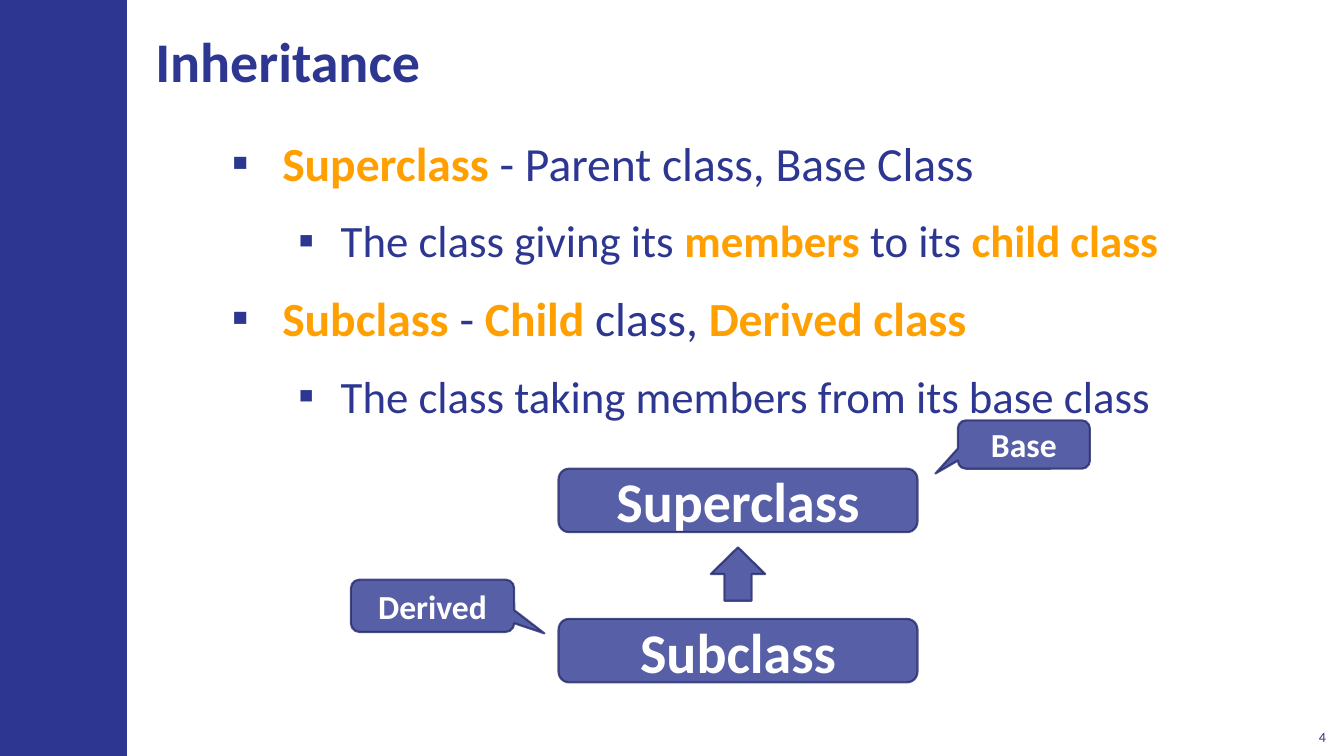
"""Build the Inheritance slide: class definitions above a superclass diagram."""
import pptx
import pptx.dml.color
import pptx.enum.shapes
import pptx.enum.text
import pptx.oxml.ns
import pptx.util
from lxml import etree

Inches = pptx.util.Inches
Pt = pptx.util.Pt
RGBColor = pptx.dml.color.RGBColor
MSO_SHAPE = pptx.enum.shapes.MSO_SHAPE
PP_ALIGN = pptx.enum.text.PP_ALIGN
MSO_ANCHOR = pptx.enum.text.MSO_ANCHOR
qn = pptx.oxml.ns.qn

NAVY = RGBColor(0x2D, 0x37, 0x91)
EDGE = RGBColor(0x22, 0x29, 0x6D)
ORANGE = RGBColor(0xFF, 0xA0, 0x00)
WHITE = RGBColor(0xFF, 0xFF, 0xFF)
FONT = "Calibri"

TITLE = "Inheritance"
PAGE = "4"
# (level, [(text, highlighted)])
BULLETS = [
    (0, [("Superclass", True), (" - Parent class, Base Class", False)]),
    (1, [("The class giving its ", False), ("members", True),
         (" to its ", False), ("child class", True)]),
    (0, [("Subclass ", True), ("- ", False), ("Child", True),
         (" class, ", False), ("Derived class", True)]),
    (1, [("The class taking members from its base class", False)]),
]
LEVELS = [{"size": 34, "left": 0.5, "hang": 0.5},
          {"size": 32, "left": 1.08, "hang": 0.42}]

BOX_LEFT, BOX_W, BOX_H = 5.54, 3.56, 0.63
BOXES = [("Superclass", 4.65), ("Subclass", 6.14)]
CALLOUTS = [("Derived", (3.48, 5.75, 1.62, 0.52), (0.685, 0.526)),
            ("Base", (9.5, 4.17, 1.31, 0.48), (-0.67, 0.6))]
ARROW_W, ARROW_H, ARROW_TOP = 0.54, 0.53, 5.43


def add_run(p, text, size, color, bold=False):
    r = p.add_run()
    r.text = text
    r.font.name = FONT
    r.font.size = Pt(size)
    r.font.bold = bold
    r.font.color.rgb = color


def add_text(slide, at, anchor, inset=(0.12, 0.04)):
    tf = slide.shapes.add_textbox(*map(Inches, at)).text_frame
    tf.word_wrap = True
    tf.vertical_anchor = anchor
    tf.margin_left = tf.margin_right = Inches(inset[0])
    tf.margin_top = tf.margin_bottom = Inches(inset[1])
    return tf


def add_bullet(p, level, runs):
    style = LEVELS[level]
    p.level = level
    p.line_spacing = 1.1
    p.space_before = p.space_after = Pt(6)
    pPr = p._p.get_or_add_pPr()
    pPr.set("marL", str(Inches(style["left"])))
    pPr.set("indent", str(-Inches(style["hang"])))
    clr = etree.SubElement(pPr, qn("a:buClr"))
    etree.SubElement(clr, qn("a:srgbClr"), val=str(NAVY))
    etree.SubElement(pPr, qn("a:buFont"), typeface=FONT)
    etree.SubElement(pPr, qn("a:buChar"), char="▪")
    for text, marked in runs:
        add_run(p, text, style["size"], ORANGE if marked else NAVY, marked)


def add_node(slide, kind, at, text="", size=0):
    sp = slide.shapes.add_shape(kind, *map(Inches, at))
    sp.shadow.inherit = False
    sp.fill.solid()
    sp.fill.fore_color.rgb = NAVY
    sp.line.color.rgb = EDGE
    sp.line.width = Pt(1.5)
    for clr in sp._element.spPr.iter(qn("a:srgbClr")):
        etree.SubElement(clr, qn("a:alpha"), val="80000")
    if text:
        tf = sp.text_frame
        tf.vertical_anchor = MSO_ANCHOR.MIDDLE
        p = tf.paragraphs[0]
        p.alignment = PP_ALIGN.CENTER
        add_run(p, text, size, WHITE, True)
    return sp


def main():
    prs = pptx.Presentation()
    prs.slide_width, prs.slide_height = Inches(13.33), Inches(7.5)
    slide = prs.slides.add_slide(prs.slide_layouts[6])

    band = slide.shapes.add_shape(MSO_SHAPE.RECTANGLE, 0, 0, Inches(1.26), prs.slide_height)
    band.shadow.inherit = False
    band.fill.solid()
    band.fill.fore_color.rgb = NAVY
    band.line.fill.background()

    tf = add_text(slide, (2.18, 1.23, 11.07, 6.06), MSO_ANCHOR.TOP)
    for i, (level, runs) in enumerate(BULLETS):
        p = tf.add_paragraph() if i else tf.paragraphs[0]
        add_bullet(p, level, runs)

    tf = add_text(slide, (1.42, 0.11, 9.19, 0.97), MSO_ANCHOR.MIDDLE)
    add_run(tf.paragraphs[0], TITLE, 40, NAVY, True)

    for text, top in BOXES:
        add_node(slide, MSO_SHAPE.ROUNDED_RECTANGLE, (BOX_LEFT, top, BOX_W, BOX_H), text, 40)
    for text, at, tip in CALLOUTS:
        sp = add_node(slide, MSO_SHAPE.ROUNDED_RECTANGULAR_CALLOUT, at, text, 24)
        sp.adjustments[0], sp.adjustments[1] = tip
    arrow_left = BOX_LEFT + (BOX_W - ARROW_W) / 2
    add_node(slide, MSO_SHAPE.UP_ARROW, (arrow_left, ARROW_TOP, ARROW_W, ARROW_H))

    tf = add_text(slide, (12.85, 7.12, 0.4, 0.32), MSO_ANCHOR.BOTTOM, (0.1, 0.05))
    tf.paragraphs[0].alignment = PP_ALIGN.RIGHT
    add_run(tf.paragraphs[0], PAGE, 10, NAVY)

    prs.save("out.pptx")


if __name__ == "__main__":
    main()
